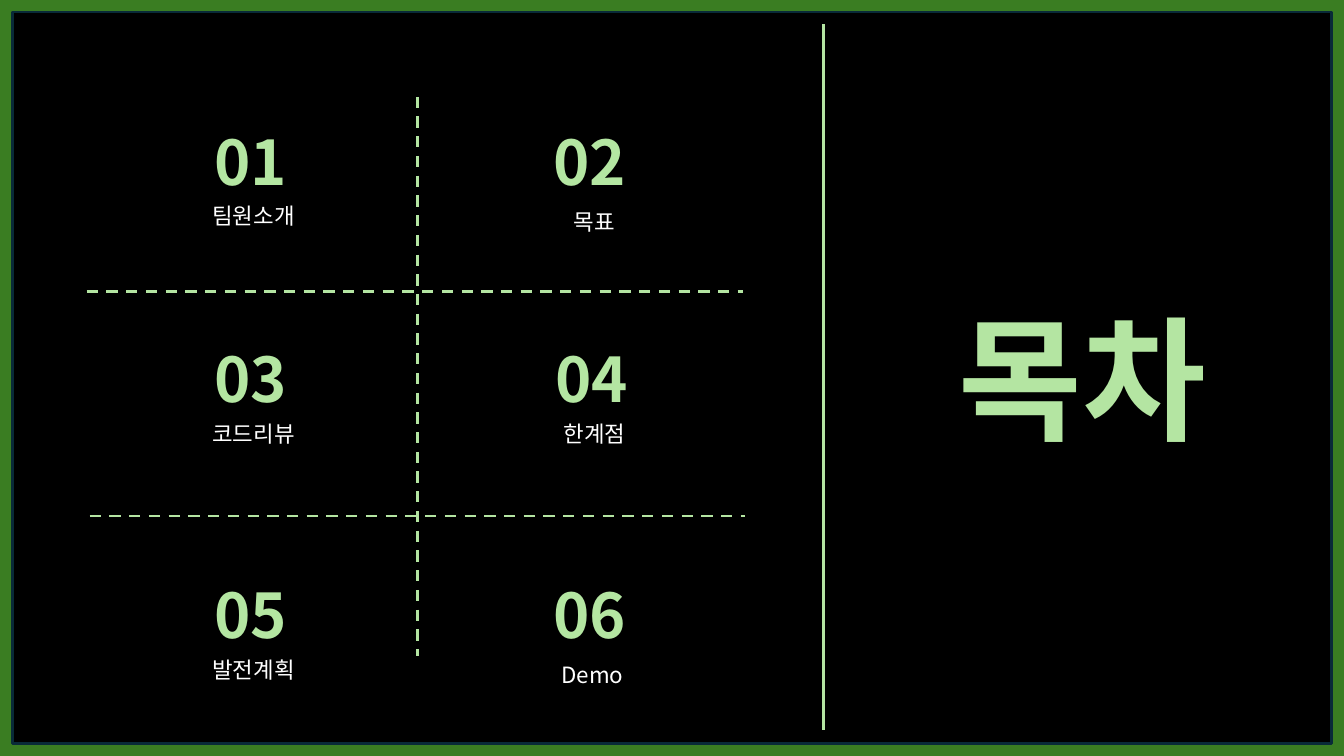
from dataclasses import dataclass

from lxml.etree import SubElement
from pptx import Presentation
from pptx.dml.color import RGBColor
from pptx.enum.dml import MSO_LINE
from pptx.enum.shapes import MSO_CONNECTOR, MSO_SHAPE
from pptx.enum.text import MSO_AUTO_SIZE, PP_ALIGN
from pptx.oxml.ns import qn
from pptx.util import Inches, Pt


@dataclass(frozen=True)
class Theme:
    frame: RGBColor = RGBColor.from_string("3A7D22")
    panel: RGBColor = RGBColor.from_string("000000")
    edge: RGBColor = RGBColor.from_string("092A38")
    accent: RGBColor = RGBColor.from_string("B4E5A2")
    number: RGBColor = RGBColor.from_string("B4E6A2")
    label: RGBColor = RGBColor.from_string("FFFFFF")
    font: str = "Noto Sans CJK KR"
    title_size: int = 96
    number_size: int = 44
    label_size: int = 16
    stroke: int = 2


theme = Theme()
deck = Presentation()
deck.slide_width, deck.slide_height = Inches(13.33), Inches(7.5)
slide = deck.slides.add_slide(deck.slide_layouts[6])
slide.background.fill.solid()
slide.background.fill.fore_color.rgb = theme.frame


def add_text(text, left, top, width, height, *, size, color,
             bold=False, align=PP_ALIGN.CENTER):
    box = slide.shapes.add_textbox(
        Inches(left), Inches(top), Inches(width), Inches(height))
    frame = box.text_frame
    frame.word_wrap = True
    frame.auto_size = MSO_AUTO_SIZE.SHAPE_TO_FIT_TEXT
    para = frame.paragraphs[0]
    para.alignment = align
    run = para.add_run()
    run.text = text
    font = run.font
    font.size, font.bold, font.name = Pt(size), bold, theme.font
    font.color.rgb = color
    # Hangul takes its typeface from the East Asian slot
    SubElement(run._r.get_or_add_rPr(), qn("a:ea"), typeface=theme.font)


def add_line(x1, y1, x2, y2, dash=None):
    line = slide.shapes.add_connector(
        MSO_CONNECTOR.STRAIGHT, Inches(x1), Inches(y1), Inches(x2), Inches(y2))
    line.line.color.rgb = theme.accent
    line.line.width = Pt(theme.stroke)
    if dash:
        line.line.dash_style = dash
    SubElement(line._element.spPr, qn("a:effectLst"))


panel = slide.shapes.add_shape(
    MSO_SHAPE.RECTANGLE, Inches(0.12), Inches(0.12), Inches(13.09), Inches(7.26))
panel.shadow.inherit = False
panel.fill.solid()
panel.fill.fore_color.rgb = theme.panel
panel.line.color.rgb = theme.edge
panel.line.width = Pt(theme.stroke)

add_text("목차", 8.9, 2.89, 3.67, 1.7,
         size=theme.title_size, color=theme.accent, bold=True)

add_line(8.17, 0.24, 8.17, 7.24)
for ends in ((0.86, 2.89, 7.37, 2.89), (0.89, 5.12, 7.39, 5.12),
             (4.14, 0.96, 4.14, 6.51)):
    add_line(*ends, dash=MSO_LINE.DASH)

# label, number left and top, label left and top
topics = (
    ("팀원소개", 2.03, 1.18, 1.94, 1.96),
    ("목표", 5.39, 1.18, 5.32, 2.02),
    ("코드리뷰", 2.03, 3.33, 1.94, 4.12),
    ("한계점", 5.41, 3.33, 5.32, 4.12),
    ("발전계획", 2.03, 5.67, 1.94, 6.46),
    ("Demo", 5.39, 5.67, 5.3, 6.51),
)
for count, (label, num_x, num_y, x, y) in enumerate(topics, 1):
    add_text(f"{count:02}", num_x, num_y, 0.97, 0.83, size=theme.number_size,
             color=theme.number, bold=True, align=PP_ALIGN.LEFT)
    add_text(label, x, y, 1.15, 0.36, size=theme.label_size, color=theme.label)

deck.save("out.pptx")
